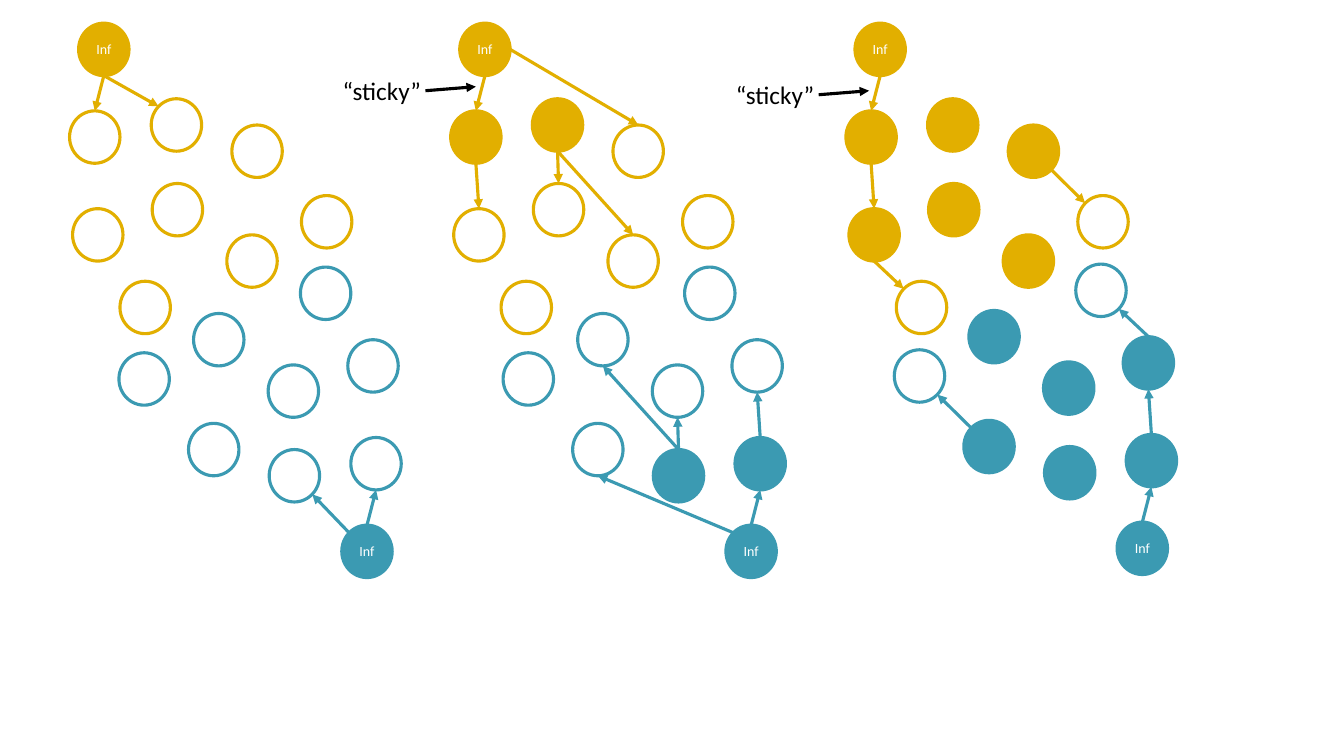
from dataclasses import dataclass
from pptx import Presentation
from pptx import util as u
from pptx.dml.color import RGBColor
from pptx.enum import shapes, text
from pptx.oxml import ns, xmlchemy


@dataclass(frozen=True)
class Theme:
    gold: str = "E2AF00"
    teal: str = "3B9AB2"
    white: str = "FFFFFF"
    black: str = "000000"
    font: str = "Calibri"
    small: int = 10
    large: int = 18
    line: float = 2.25


THEME = Theme()
WIDE, HIGH = 50, 52
DOTS = {
    "inf": (0, 0),
    "left1": (-9, 87),
    "mid1": (72, 75),
    "right1": (152, 101),
    "left2": (-6, 184),
    "mid2": (73, 159),
    "far": (221, 171),
    "right2": (147, 210),
    "low": (41, 256),
}
DIAG = 0.71
SIDES = {
    "n": (0, -1),
    "s": (0, 1),
    "e": (1, 0),
    "nw": (-DIAG, -DIAG),
    "se": (DIAG, DIAG),
}

START = {"inf"}
SPREAD = {"inf", "left1", "mid1"}
FINAL = set(DOTS) - {"far", "low"}

FIRST = ("inf", "s", "left1", "n")
CHAIN = ("left1", "s", "left2", "n")
BRANCH = [
    FIRST,
    CHAIN,
    ("mid1", "s", "right2", "n"),
    ("mid1", "s", "mid2", "n"),
]
LAST = [
    FIRST,
    CHAIN,
    ("left2", "s", "low", "nw"),
    ("right1", "se", "far", "nw"),
]
PANELS = [
    ((78, 23), (339, 521), START,
     [FIRST, ("inf", "s", "mid1", "nw")],
     [FIRST, ("inf", "se", "mid1", "nw")]),
    ((456, 23), (720, 521), SPREAD,
     BRANCH + [("inf", "e", "right1", "n")],
     BRANCH + [("inf", "se", "right1", "n")]),
    ((848, 23), (1108, 518), FINAL, LAST, LAST),
]
NOTES = [(330, 70), (720, 74)]


def px(size):
    return u.Emu(round(size * 9144))


def rgb(code):
    return RGBColor.from_string(code)


def write(shape, words, size, color, align):
    frame = shape.text_frame
    frame.word_wrap = False
    frame.text = words
    para = frame.paragraphs[0]
    para.alignment = align
    para.font.name = THEME.font
    para.font.size = u.Pt(size)
    para.font.color.rgb = rgb(color)


def arrow(parent, start, end, color):
    link = parent.add_connector(
        shapes.MSO_CONNECTOR.STRAIGHT, *map(px, (*start, *end)))
    link.line.color.rgb = rgb(color)
    link.line.width = u.Pt(THEME.line)
    props = link.element.spPr
    tip = xmlchemy.OxmlElement("a:tailEnd")
    tip.set("type", "triangle")
    props.find(ns.qn("a:ln")).append(tip)
    props.append(xmlchemy.OxmlElement("a:effectLst"))


def dot(parent, left, top, color, full):
    ball = parent.add_shape(
        shapes.MSO_SHAPE.OVAL, *map(px, (left, top, WIDE, HIGH)))
    ball.shadow.inherit = False
    ball.fill.solid()
    ball.fill.fore_color.rgb = rgb(color if full else THEME.white)
    ball.line.color.rgb = rgb(color)
    ball.line.width = u.Pt(THEME.line)
    return ball


def cluster(parent, place, sign, color, full, links):
    left, top = place

    def spot(name):
        dx, dy = DOTS[name]
        return left + sign * dx, top + sign * dy

    def edge(name, side):
        x, y = spot(name)
        dx, dy = SIDES[side]
        return (x + WIDE / 2 * (1 + sign * dx),
                y + HIGH / 2 * (1 + sign * dy))

    for name in DOTS:
        ball = dot(parent, *spot(name), color, name in full)
        if name == "inf":
            frame = ball.text_frame
            frame.margin_left = frame.margin_right = 0
            frame.vertical_anchor = text.MSO_ANCHOR.MIDDLE
            write(ball, "Inf", THEME.small, THEME.white,
                  text.PP_ALIGN.CENTER)
    for source, out, target, into in links:
        arrow(parent, edge(source, out), edge(target, into), color)


def panel(slide, upper, lower, full, gold, teal):
    group = slide.shapes.add_group_shape().shapes
    cluster(group, upper, 1, THEME.gold, full, gold)
    cluster(group, lower, -1, THEME.teal, full, teal)


def note(slide, left, top):
    box = slide.shapes.add_textbox(*map(px, (left, top, 99, 40)))
    write(box, "“sticky”", THEME.large, THEME.black, text.PP_ALIGN.LEFT)
    box.text_frame.auto_size = text.MSO_AUTO_SIZE.SHAPE_TO_FIT_TEXT
    arrow(slide.shapes, (left + 92, top + 20), (left + 142, top + 16),
          THEME.black)


def main():
    deck = Presentation()
    deck.slide_width, deck.slide_height = px(1333), px(750)
    slide = deck.slides.add_slide(deck.slide_layouts[6])
    for parts in PANELS:
        panel(slide, *parts)
    for place in NOTES:
        note(slide, *place)
    deck.save("out.pptx")


if __name__ == "__main__":
    main()
